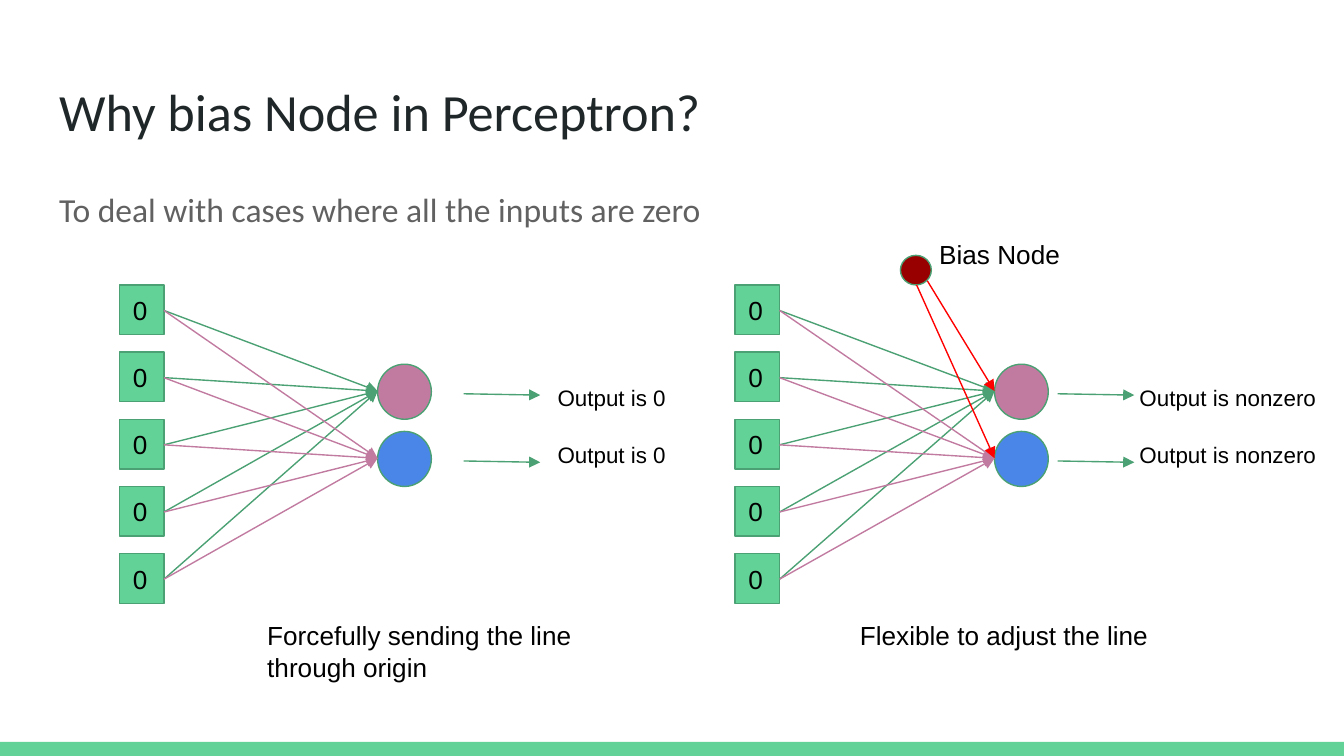
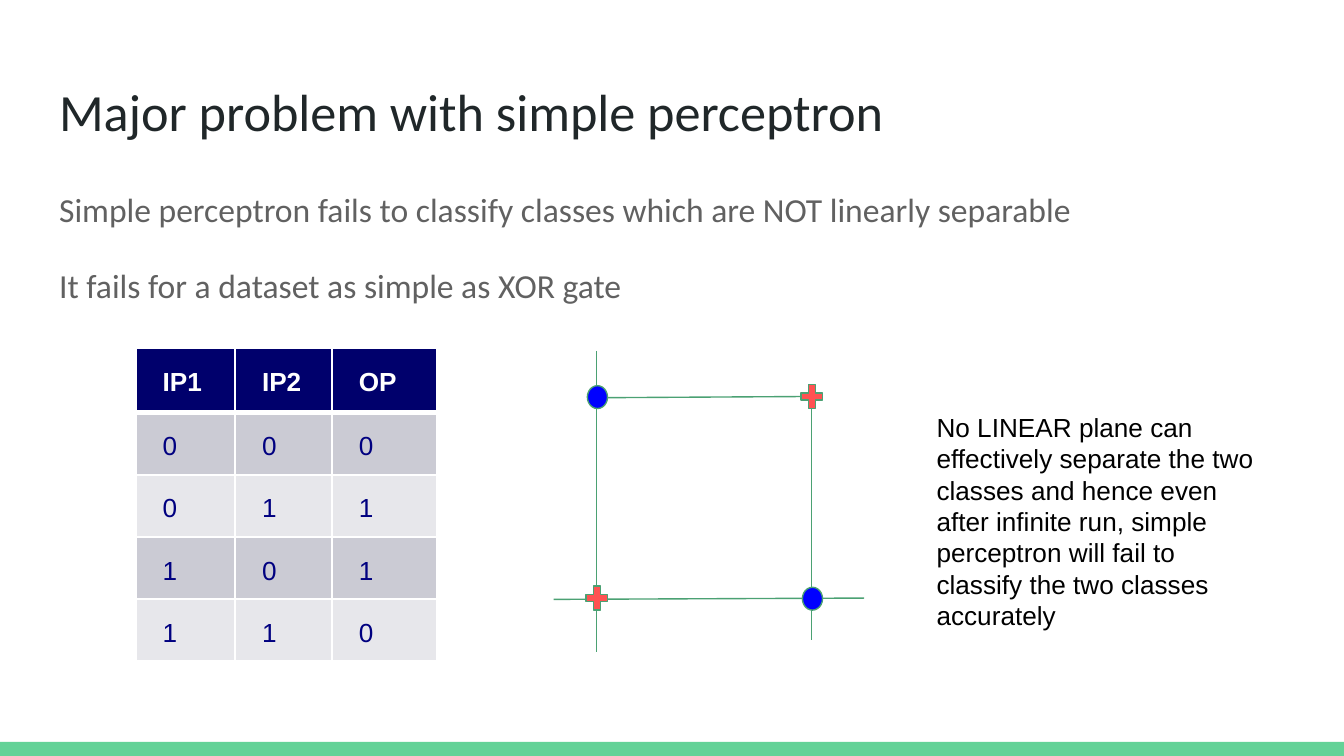
from dataclasses import dataclass
from itertools import product
from typing import NamedTuple, Optional

from lxml import etree
from pptx import Presentation
from pptx import util as u
from pptx.dml.color import RGBColor
from pptx.enum import shapes, text
from pptx.oxml.ns import qn

PX = 9144  # EMU: 100 px to the inch
SLIDE_WIDTH = 1000
INSET = 10
COLORS = {
    "white": "FFFFFF",
    "black": "000000",
    "title": "202729",
    "body": "616161",
    "green": "63D297",
    "outline": "4BA173",
    "pink": "C27BA0",
    "blue": "4A86E8",
    "maroon": "980000",
    "red": "FF0000",
    "dot": "0000FF",
    "plus": "FF5252",
    "header": "00006C",
    "cell_text": "000080",
    "dark_row": "CBCBD4",
    "light_row": "E7E7EB",
}
SHAPE = shapes.MSO_SHAPE


class Point(NamedTuple):
    x: int
    y: int


class Rect(NamedTuple):
    left: int
    top: int
    width: int
    height: int

    def emu(self) -> list[int]:
        return [value * PX for value in self]


class Segment(NamedTuple):
    start: Point
    end: Point


@dataclass(frozen=True)
class Network:
    """One perceptron with five inputs; x positions in px."""
    inputs_x: int
    nodes_x: int
    arrows_x: int
    output_x: int
    output_width: int
    output: str
    caption_x: int
    caption: str
    bias: Optional[Rect] = None


TITLE = Rect(34, 49, 932, 63)
BAND = Rect(0, 552, SLIDE_WIDTH, 11)
INPUT_TOPS = range(212, 413, 50)
INPUT_SIZE = (33, 37)
NODE_SIZE = (40, 41)
NODES = ((271, "pink", "outline"), (321, "blue", "pink"))  # top, fill, link colour
NETWORKS = (
    Network(89, 281, 345, 405, 101, "Output is 0",
            189, "Forcefully sending the line through origin"),
    Network(547, 740, 787, 838, 159, "Output is nonzero",
            630, "Flexible to adjust the line", Rect(670, 190, 23, 22)),
)

XOR_TABLE = (
    ("IP1", "IP2", "OP"),
    ("0", "0", "0"),
    ("0", "1", "1"),
    ("1", "0", "1"),
    ("1", "1", "0"),
)
COLUMN_WIDTHS = (74, 72, 78)
ROW_HEIGHTS = (48, 46, 46, 46, 46)
PLOT_X = (444, 604)
PLOT_Y = (295, 445)
PLOT_LINES = (
    Segment(Point(444, 261), Point(444, 485)),
    Segment(Point(412, 446), Point(643, 445)),
    Segment(Point(437, 296), Point(604, 295)),
    Segment(Point(604, 294), Point(604, 476)),
)


def rgb(name: str) -> RGBColor:
    return RGBColor.from_string(COLORS[name])


def write(frame, content: str, *, size: int = 14, color: str = "black",
          font: str = "Arial", bold: bool = False, spacing: float = 1.0,
          gap: int = 0, indent: int = 0,
          anchor=text.MSO_ANCHOR.TOP) -> None:
    """Fill a text frame, one paragraph a line, with gap points between them."""
    frame.word_wrap = True
    frame.auto_size = text.MSO_AUTO_SIZE.NONE
    frame.vertical_anchor = anchor
    frame.margin_left = frame.margin_right = INSET * PX
    frame.margin_top = frame.margin_bottom = INSET * PX
    frame.text = content
    for index, para in enumerate(frame.paragraphs):
        para.alignment = text.PP_ALIGN.LEFT
        para.line_spacing = spacing
        para.space_before = u.Pt(gap if index else 0)
        para.space_after = u.Pt(0)
        props = para._p.get_or_add_pPr()
        props.set("marL", str(indent * PX))
        props.set("indent", "0")
        etree.SubElement(props, qn("a:buNone"))
        for span in para.runs:
            span.font.name = font
            span.font.size = u.Pt(size)
            span.font.bold = bold
            span.font.color.rgb = rgb(color)


def add_label(page, rect: Rect, content: str, size: int = 14) -> None:
    write(page.shapes.add_textbox(*rect.emu()).text_frame, content, size=size)


def add_figure(page, kind, rect: Rect, fill: str, outline: Optional[str] = "outline"):
    figure = page.shapes.add_shape(kind, *rect.emu())
    figure.shadow.inherit = False
    figure.fill.solid()
    figure.fill.fore_color.rgb = rgb(fill)
    if outline:
        figure.line.color.rgb = rgb(outline)
        figure.line.width = u.Pt(0.75)
    else:
        figure.line.fill.background()
    return figure


def add_line(page, segment: Segment, color: str = "outline", arrow: bool = False) -> None:
    ends = [value * PX for point in segment for value in point]
    line = page.shapes.add_connector(shapes.MSO_CONNECTOR.STRAIGHT, *ends)
    line.line.color.rgb = rgb(color)
    line.line.width = u.Pt(0.75)
    props = line.element.spPr
    if arrow:
        etree.SubElement(props.find(qn("a:ln")), qn("a:tailEnd"), type="triangle")
    etree.SubElement(props, qn("a:effectLst"))


def add_page(deck, title: str, body: str, body_height: int):
    page = deck.slides.add_slide(deck.slide_layouts[1])
    heading, content = page.placeholders
    for box, rect in ((heading, TITLE), (content, Rect(34, 126, 932, body_height))):
        box.left, box.top, box.width, box.height = rect.emu()
    write(heading.text_frame, title, size=28, color="title", font="Calibri")
    write(content.text_frame, body, size=18, color="body", font="Calibri",
          spacing=1.15, gap=16)
    return page


def move_band_to_master(deck, page) -> None:
    """Draw the footer band and hand it to the master, so every slide shows it."""
    band = add_figure(page, SHAPE.RECTANGLE, BAND, "green", None)
    band.element.nvSpPr.cNvPr.set("id", "99")
    deck.slide_master.shapes.element.append(band.element)


def draw_network(page, net: Network) -> None:
    input_width, input_height = INPUT_SIZE
    for top in INPUT_TOPS:
        cell = add_figure(page, SHAPE.RECTANGLE,
                          Rect(net.inputs_x, top, *INPUT_SIZE), "green")
        write(cell.text_frame, "0", anchor=text.MSO_ANCHOR.MIDDLE)
    for top, fill, _ in NODES:
        add_figure(page, SHAPE.OVAL, Rect(net.nodes_x, top, *NODE_SIZE), fill)
    targets = [Point(net.nodes_x, top + NODE_SIZE[1] // 2) for top, _, _ in NODES]
    for target, (_, _, color) in zip(targets, NODES):
        for top in INPUT_TOPS:
            source = Point(net.inputs_x + input_width, top + input_height // 2 + 1)
            add_line(page, Segment(source, target), color, arrow=True)
        start = Point(net.arrows_x, target.y + 2)
        add_line(page, Segment(start, Point(start.x + 57, start.y + 1)), arrow=True)
    for top in (276, 318):
        add_label(page, Rect(net.output_x, top, net.output_width, 41), net.output, 12)
    add_label(page, Rect(net.caption_x, 451, 270, 41), net.caption)
    if net.bias:
        add_figure(page, SHAPE.OVAL, net.bias, "maroon")
        for source, target in zip((Point(690, 209), Point(682, 212)), targets):
            add_line(page, Segment(source, target), "red", arrow=True)
        add_label(page, Rect(689, 167, 270, 41), "Bias Node")


def set_borders(cell, top: int, bottom: int) -> None:
    """White cell borders; top and bottom widths in points."""
    props = cell._tc.get_or_add_tcPr()
    for side, width in (("L", 1), ("R", 1), ("T", top), ("B", bottom)):
        line = etree.SubElement(props, qn(f"a:ln{side}"), w=str(u.Pt(width)))
        fill = etree.SubElement(line, qn("a:solidFill"))
        etree.SubElement(fill, qn("a:srgbClr"), val=COLORS["white"])


def draw_xor_table(page) -> None:
    area = Rect(101, 259, sum(COLUMN_WIDTHS), sum(ROW_HEIGHTS))
    table = page.shapes.add_table(len(XOR_TABLE), len(COLUMN_WIDTHS), *area.emu()).table
    for column, width in zip(table.columns, COLUMN_WIDTHS):
        column.width = width * PX
    for index, (row, height, values) in enumerate(zip(table.rows, ROW_HEIGHTS, XOR_TABLE)):
        row.height = height * PX
        header = index == 0
        fill = "header" if header else "dark_row" if index % 2 else "light_row"
        for cell, value in zip(row.cells, values):
            set_borders(cell, top=3 if index == 1 else 1, bottom=3 if header else 1)
            cell.fill.solid()
            cell.fill.fore_color.rgb = rgb(fill)
            cell.margin_left = cell.margin_right = INSET * PX
            cell.margin_top = cell.margin_bottom = INSET * PX
            write(cell.text_frame, value, color="white" if header else "cell_text",
                  bold=header, spacing=1.2, indent=10)


def draw_xor_plot(page) -> None:
    for segment in PLOT_LINES:
        add_line(page, segment)
    for (column, x), (row, y) in product(enumerate(PLOT_X), enumerate(PLOT_Y)):
        is_dot = column == row
        kind, fill, width, height = (
            (SHAPE.OVAL, "dot", 15, 17) if is_dot else (SHAPE.MATH_PLUS, "plus", 22, 24))
        rect = Rect(x - width // 2, y - height // 2, width, height)
        marker = add_figure(page, kind, rect, fill)
        if not is_dot:
            marker.adjustments[0] = 0.235


def main() -> None:
    deck = Presentation()
    deck.slide_width = SLIDE_WIDTH * PX
    deck.slide_height = deck.slide_width * 9 // 16

    bias_page = add_page(deck, "Why bias Node in Perceptron?",
                         "To deal with cases where all the inputs are zero", 63)
    move_band_to_master(deck, bias_page)
    for net in NETWORKS:
        draw_network(bias_page, net)

    xor_page = add_page(
        deck, "Major problem with simple perceptron",
        "Simple perceptron fails to classify classes which are NOT linearly separable\n"
        "It fails for a dataset as simple as XOR gate", 108)
    draw_xor_table(xor_page)
    draw_xor_plot(xor_page)
    add_label(xor_page, Rect(687, 296, 264, 35),
              "No LINEAR plane can effectively separate the two classes and hence even "
              "after infinite run, simple perceptron will fail to classify the two "
              "classes accurately")
    deck.save("out.pptx")


if __name__ == "__main__":
    main()
